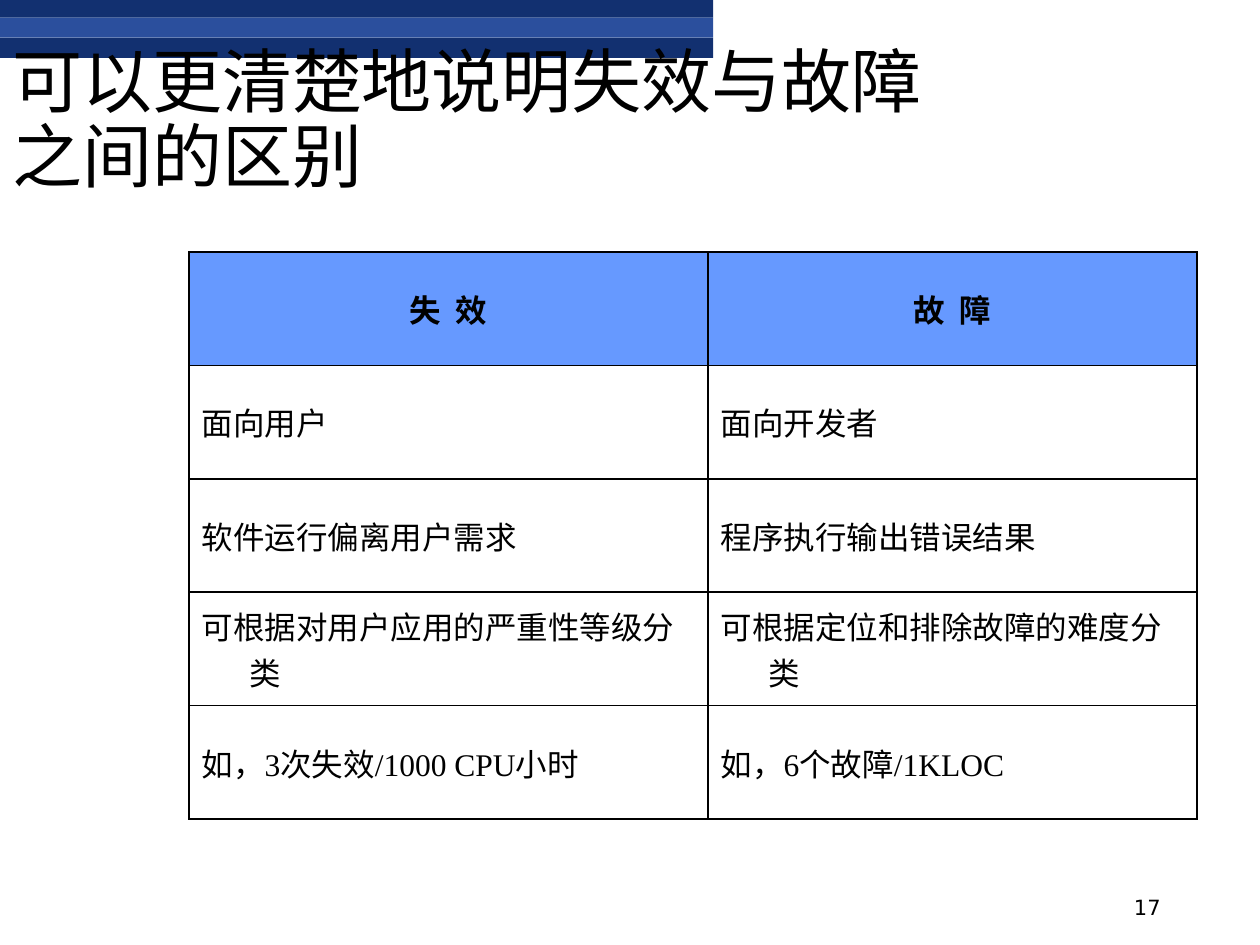
from dataclasses import dataclass

from lxml.etree import SubElement
from pptx import Presentation
from pptx.dml.color import RGBColor
from pptx.enum.shapes import MSO_SHAPE
from pptx.enum.text import MSO_ANCHOR, PP_ALIGN
from pptx.oxml.ns import qn
from pptx.util import Inches, Pt

BLACK = "000000"
CJK_FONT = "Noto Sans CJK SC"
ROWS = [
    ("失  效", "故  障"),
    ("面向用户", "面向开发者"),
    ("软件运行偏离用户需求", "程序执行输出错误结果"),
    ("可根据对用户应用的严重性等级分类", "可根据定位和排除故障的难度分类"),
    ("如，3次失效/1000 CPU小时", "如，6个故障/1KLOC"),
]
COLUMN_WIDTHS = (4.12, 3.88)
ROW_HEIGHT = 0.9


@dataclass
class Band:
    top: float
    height: float
    color: str


@dataclass
class Label:
    text: str
    left: float
    top: float
    width: float
    height: float
    font: dict
    paragraph: dict


BANDS = [
    Band(0, 0.14, "123070"),
    Band(0.14, 0.16, "2B4F9D"),
    Band(0.3, 0.16, "123070"),
]
LABELS = [
    Label("17", 7.06, 6.95, 2.25, 0.4,
          {"name": "DejaVu Sans", "size": Pt(12)}, {"alignment": PP_ALIGN.RIGHT}),
    Label("可以更清楚地说明失效与故障之间的区别", 0, 0.5, 7.76, 1.12,
          {"name": "Calibri", "size": Pt(40)},
          {"alignment": PP_ALIGN.LEFT, "line_spacing": 0.9}),
]
HEADER_FONT = {"name": CJK_FONT, "size": Pt(18), "bold": True}
BODY_FONT = {"name": "Times New Roman", "size": Pt(18), "bold": False}


def paint(target, color: str) -> None:
    target.solid()
    target.fore_color.rgb = RGBColor.from_string(color)


def apply(target, values: dict) -> None:
    for name, value in values.items():
        setattr(target, name, value)


def write(para, text: str, font: dict, paragraph: dict) -> None:
    apply(para, paragraph)
    span = para.add_run()
    span.text = text
    apply(span.font, font)
    paint(span.font.fill, BLACK)
    SubElement(span.font._element, qn("a:ea"), typeface=CJK_FONT)


def draw_band(page, band: Band) -> None:
    box = page.shapes.add_shape(MSO_SHAPE.RECTANGLE, 0, Inches(band.top),
                                Inches(5.66), Inches(band.height))
    box.shadow.inherit = False
    paint(box.fill, band.color)
    box.line.fill.background()


def draw_label(page, label: Label) -> None:
    box = page.shapes.add_textbox(Inches(label.left), Inches(label.top),
                                  Inches(label.width), Inches(label.height))
    frame = box.text_frame
    apply(frame, {"word_wrap": True, "vertical_anchor": MSO_ANCHOR.BOTTOM})
    write(frame.paragraphs[0], label.text, label.font, label.paragraph)


def outline(cell) -> None:
    properties = cell._tc.get_or_add_tcPr()
    for side in ("a:lnL", "a:lnR", "a:lnT", "a:lnB"):
        border = SubElement(properties, qn(side), w=str(Pt(1)))
        fill = SubElement(border, qn("a:solidFill"))
        SubElement(fill, qn("a:srgbClr"), val=BLACK)


def fill_cell(cell, text: str, is_header: bool) -> None:
    outline(cell)
    cell.vertical_anchor = MSO_ANCHOR.MIDDLE
    if is_header:
        paint(cell.fill, "6699FF")
    else:
        cell.fill.background()
    para = cell.text_frame.paragraphs[0]
    indents = para._p.get_or_add_pPr()
    indents.set("marL", str(Inches(0.38)))
    indents.set("indent", str(Inches(-0.38)))
    alignment = PP_ALIGN.CENTER if is_header else PP_ALIGN.LEFT
    write(para, text, HEADER_FONT if is_header else BODY_FONT, {"alignment": alignment})


def draw_comparison(page) -> None:
    table = page.shapes.add_table(
        len(ROWS), len(COLUMN_WIDTHS), Inches(1.5), Inches(2),
        Inches(sum(COLUMN_WIDTHS)), Inches(ROW_HEIGHT * len(ROWS))).table
    apply(table, {"first_row": False, "horz_banding": False})
    for column, width in zip(table.columns, COLUMN_WIDTHS):
        column.width = Inches(width)
    for row_index, texts in enumerate(ROWS):
        table.rows[row_index].height = Inches(ROW_HEIGHT)
        for column_index, text in enumerate(texts):
            fill_cell(table.cell(row_index, column_index), text, row_index == 0)


def main() -> None:
    deck = Presentation()
    apply(deck, {"slide_width": Inches(10), "slide_height": Inches(7.5)})
    page = deck.slides.add_slide(deck.slide_layouts[6])
    for band in BANDS:
        draw_band(page, band)
    for label in LABELS:
        draw_label(page, label)
    draw_comparison(page)
    deck.save("out.pptx")


if __name__ == "__main__":
    main()
